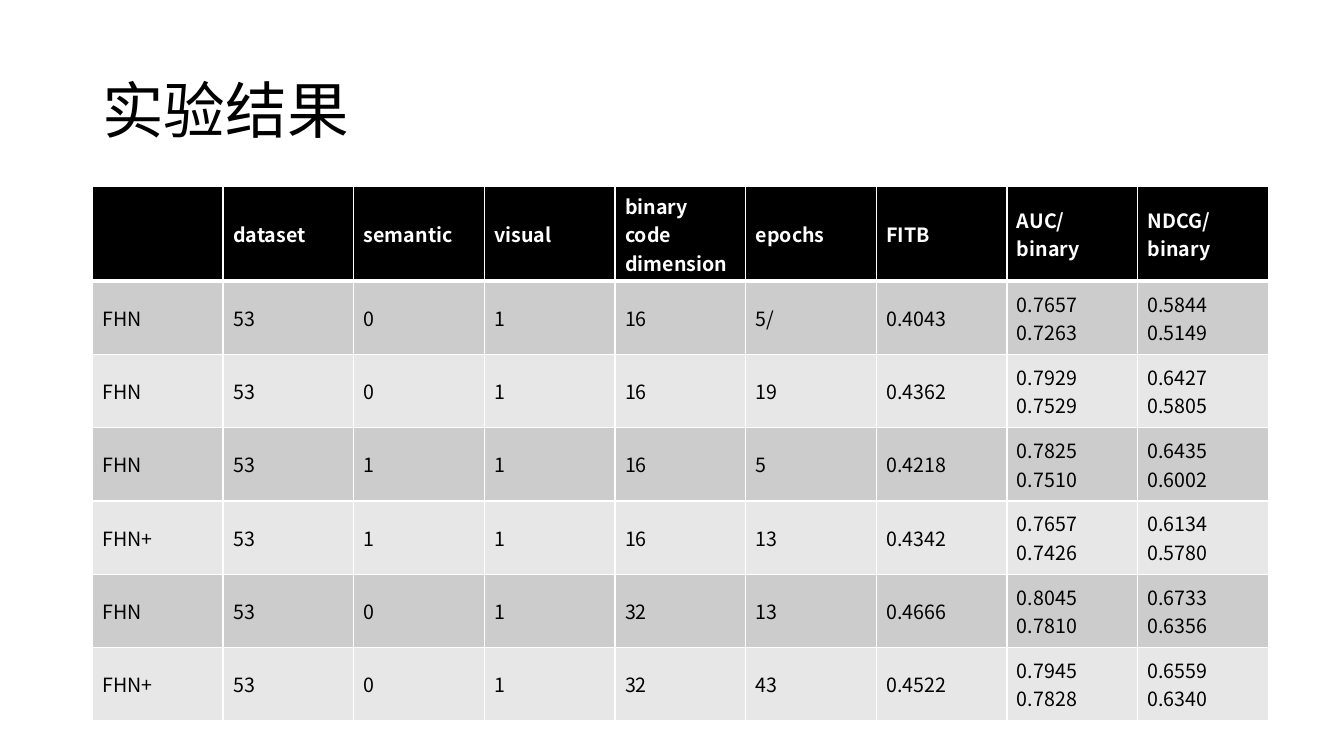
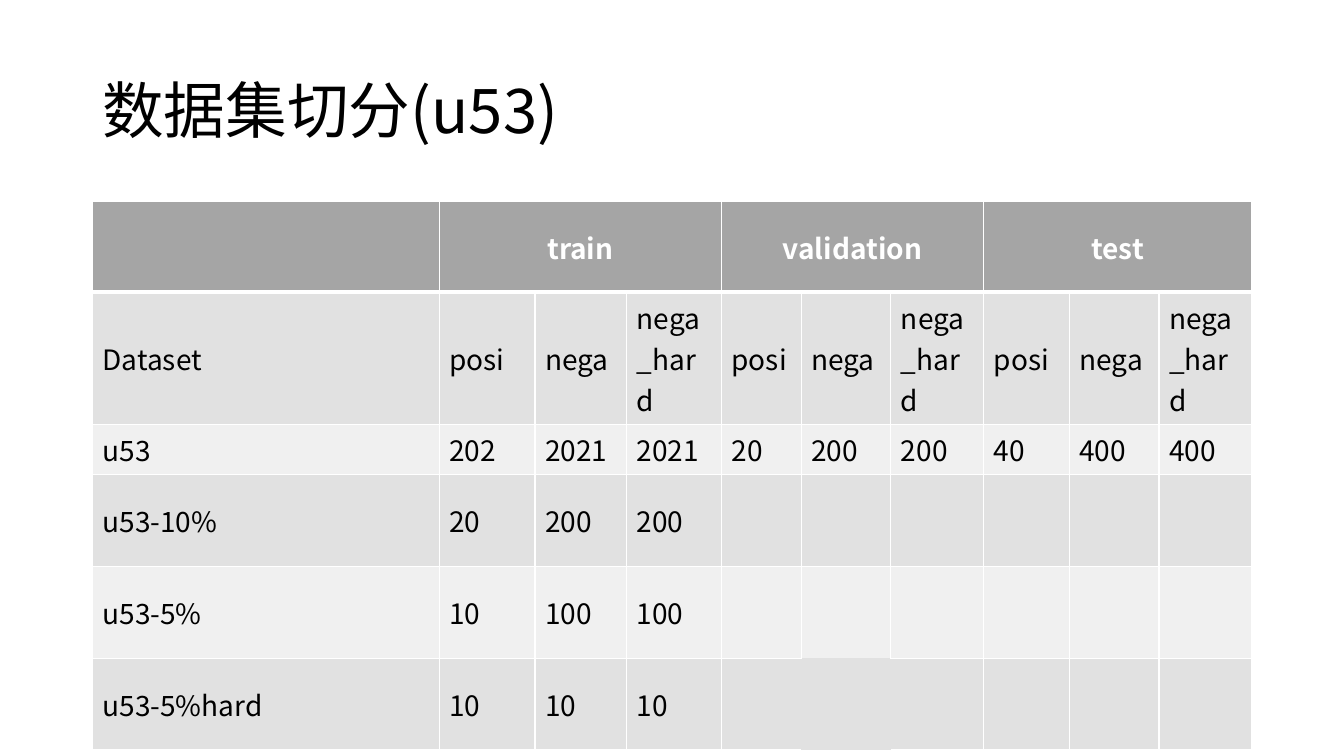
from pptx import Presentation
from pptx.dml.color import RGBColor
from pptx.enum.text import MSO_ANCHOR as ANCHOR, PP_ALIGN as ALIGN
from pptx.oxml.ns import qn
from pptx.util import Inches, Pt
from lxml.etree import SubElement

FONT = "Noto Sans CJK SC"
BLACK, WHITE = "000000", "FFFFFF"
LEFT, WIDTH = 9.17, 115  # content area, in grid units


def rgb(value):
    return RGBColor.from_string(value)


def grid(units):
    """Length of a number of grid columns or rows, each 0.1 inch."""
    return Inches(units / 10)


class Deck:
    title_format = dict(size=Pt(44), bold=False)

    def __init__(self):
        self.prs = Presentation()
        self.prs.slide_width, self.prs.slide_height = Inches(13.33), Inches(7.5)
        self.s = None

    def slide(self, title):
        self.s = self.prs.slides.add_slide(self.prs.slide_layouts[6])
        box = self.s.shapes.add_textbox(grid(LEFT), grid(4), grid(WIDTH), grid(14.5))
        tf = box.text_frame
        tf.word_wrap, tf.vertical_anchor = True, ANCHOR.MIDDLE
        self.text(tf, title, BLACK, self.title_format, line_spacing=0.9)

    def text(self, tf, text, color, fmt, **para):
        """Write one paragraph for each line of text."""
        tf.text = text
        for p in tf.paragraphs:
            for name, value in para.items():
                setattr(p, name, value)
            for r in p.runs:
                for name, value in dict(fmt, name=FONT).items():
                    setattr(r.font, name, value)
                r.font.color.rgb = rgb(color)
                SubElement(r._r.get_or_add_rPr(), qn("a:ea"), typeface=FONT)

    def borders(self, cell, widths):
        """Draw left, right, top and bottom lines; a width of 0 means no line."""
        tcPr = cell._tc.get_or_add_tcPr()
        for side, width in zip("LRTB", widths):
            ln = SubElement(tcPr, qn(f"a:ln{side}"), w=str(Pt(width)))
            if width:
                fill = SubElement(ln, qn("a:solidFill"))
                SubElement(fill, qn("a:srgbClr"), val=WHITE)
            else:
                SubElement(ln, qn("a:noFill"))

    def table(self, top, cols, heights, rows, size, fills, align=ALIGN.LEFT, bare=None):
        """None in a row extends the cell before it; bare is a cell without lines."""
        frame = self.s.shapes.add_table(len(rows), len(cols), grid(LEFT), grid(top),
                                        grid(sum(cols)), grid(sum(heights)))
        tbl = frame.table
        tbl.horz_banding = False
        for items, lengths, name in ((tbl.columns, cols, "width"),
                                     (tbl.rows, heights, "height")):
            for item, length in zip(items, lengths):
                setattr(item, name, grid(length))

        head_fill, *bands = fills
        for i, row in enumerate(rows):
            head = i == 0
            for j, text in enumerate(row):
                cell = tbl.cell(i, j)
                near = ((i, j - 1), (i, j + 1), (i - 1, j), (i + 1, j))
                widths = [0 if bare in ((i, j), n) else 1 for n in near]
                if head:
                    widths[3] = 3
                elif i == 1:
                    widths[2] = 3
                self.borders(cell, widths)
                cell.fill.solid()
                cell.fill.fore_color.rgb = rgb(head_fill if head else bands[(i - 1) % 2])
                cell.vertical_anchor = ANCHOR.MIDDLE
                if text:
                    self.text(cell.text_frame, text, WHITE if head else BLACK,
                              dict(size=Pt(size), bold=head),
                              alignment=align if head else ALIGN.LEFT)
                if text is not None:
                    end = j
                    while end + 1 < len(row) and row[end + 1] is None:
                        end += 1
                    if end > j:
                        cell.merge(tbl.cell(i, end))


def main():
    deck = Deck()

    # Results
    deck.slide("实验结果")
    results = [
        ["", "dataset", "semantic", "visual", "binary code dimension", "epochs",
         "FITB", "AUC/\nbinary", "NDCG/\nbinary"],
        ["FHN", "53", "0", "1", "16", "5/", "0.4043", "0.7657\n0.7263", "0.5844\n0.5149"],
        ["FHN", "53", "0", "1", "16", "19", "0.4362", "0.7929\n0.7529", "0.6427\n0.5805"],
        ["FHN", "53", "1", "1", "16", "5", "0.4218", "0.7825\n0.7510", "0.6435\n0.6002"],
        ["FHN+", "53", "1", "1", "16", "13", "0.4342", "0.7657\n0.7426", "0.6134\n0.5780"],
        ["FHN", "53", "0", "1", "32", "13", "0.4666", "0.8045\n0.7810", "0.6733\n0.6356"],
        ["FHN+", "53", "0", "1", "32", "43", "0.4522", "0.7945\n0.7828", "0.6559\n0.6340"],
    ]
    deck.table(18.5, [12.96] * 9, [9.4] + [7.27] * 6, results, 14,
               (BLACK, "CCCCCC", "E7E7E7"))

    # Dataset split
    deck.slide("数据集切分(u53)")
    blank = [""] * 6
    split = [
        ["", "train", None, None, "validation", None, None, "test", None, None],
        ["Dataset"] + ["posi", "nega", "nega_hard"] * 3,
        ["u53", "202", "2021", "2021", "20", "200", "200", "40", "400", "400"],
        ["u53-10%", "20", "200", "200"] + blank,
        ["u53-5%", "10", "100", "100"] + blank,
        ["u53-5%hard", "10", "10", "10"] + blank,
    ]
    deck.table(20, [34.4, 9.5, 9.1, 9.4, 7.9, 8.9, 9.2, 8.5, 8.9, 9.2],
               [9, 13.1, 5] + [9.1] * 3, split, 20,
               ("A5A5A5", "E1E1E1", "F0F0F0"), align=ALIGN.CENTER, bare=(5, 5))

    deck.prs.save("out.pptx")


if __name__ == "__main__":
    main()
